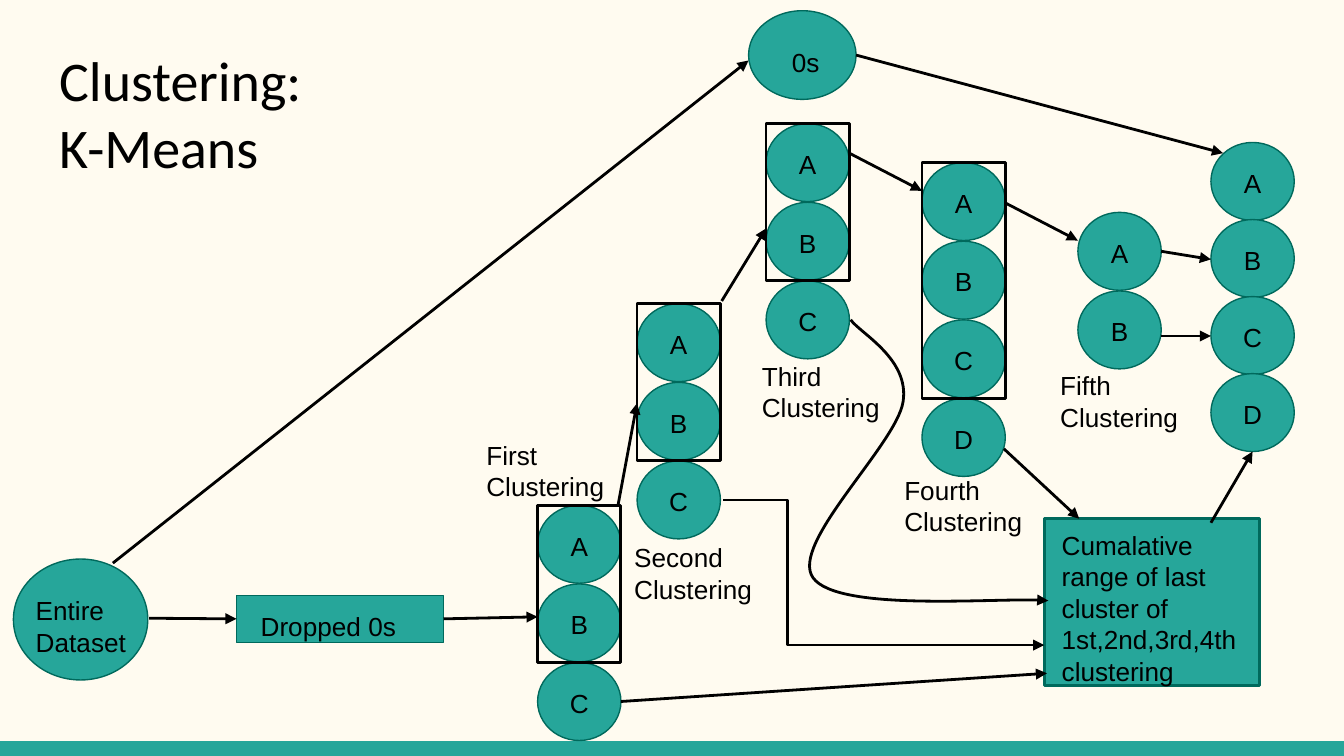
import pptx
import pptx.util
import pptx.dml.color
import pptx.enum.shapes
import pptx.enum.text
import pptx.oxml
import pptx.oxml.ns

Inches = pptx.util.Inches
Pt = pptx.util.Pt
qn = pptx.oxml.ns.qn
SHAPES = pptx.enum.shapes.MSO_SHAPE
CONNECTORS = pptx.enum.shapes.MSO_CONNECTOR
ANCHOR = pptx.enum.text.MSO_ANCHOR
ALIGN = pptx.enum.text.PP_ALIGN

THEME = {
    "paper": "FFFBF0", "teal": "26A69A", "edge": "00695C", "ink": "000000",
    "title_font": "Calibri", "title_size": 30, "body_font": "Arial", "body_size": 14,
    "thin": 0.75, "thick": 1.5,
}

SLIDE_WIDTH = 10
SLIDE_HEIGHT = SLIDE_WIDTH * 9 / 16
BAR_HEIGHT = 0.11

TITLE = "Clustering: K-Means"
CIRCLE_WIDTH, CIRCLE_HEIGHT = 0.62, 0.58
PAIR_HEIGHT = 1.17
PITCH = PAIR_HEIGHT / 2

# left, top, letters, framed circles, pitch
COLUMNS = [
    (4.00, 3.76, "ABC", 2, PITCH),
    (4.74, 2.26, "ABC", 2, PITCH),
    (5.70, 0.92, "ABC", 2, PITCH),
    (6.86, 1.21, "ABCD", 3, PITCH),
    (8.02, 1.58, "AB", 0, PITCH),
    (9.01, 1.06, "ABCD", 0, 1.72 / 3),
]
CAPTIONS = [
    ("First Clustering", 3.52, 3.17),
    ("Second Clustering", 4.62, 3.93),
    ("Third Clustering", 5.57, 2.58),
    ("Fourth Clustering", 6.63, 3.43),
    ("Fifth Clustering", 7.79, 2.65),
]
ARROWS = [
    ((4.60, 3.75), (4.74, 3.00)),
    ((5.37, 2.24), (5.70, 1.70)),
    ((6.32, 1.14), (6.86, 1.42)),
    ((7.48, 1.51), (8.02, 1.79)),
    ((8.64, 1.87), (9.01, 1.93)),
    ((8.64, 2.50), (9.01, 2.50)),
    ((0.84, 4.19), (5.57, 0.45)),
    ((6.37, 0.41), (9.10, 1.14)),
    ((9.01, 3.89), (9.32, 3.36)),
    ((7.47, 3.34), (8.03, 3.86)),
    ((4.62, 5.22), (7.79, 5.01)),
]
THIRD_TO_RANGE = [
    (6.33, 2.38),
    (6.40, 2.48), (6.77, 2.67), (6.72, 2.99),
    (6.67, 3.31), (5.87, 4.05), (6.05, 4.30),
    (6.23, 4.55), (7.51, 4.44), (7.80, 4.47),
]


def color(name):
    return pptx.dml.color.RGBColor.from_string(THEME[name])


def write(shape, words, align=ALIGN.LEFT, anchor=ANCHOR.TOP, insets=(0.1, 0.1, 0.1, 0.1),
          wrap=True, role="body"):
    frame = shape.text_frame
    frame.text = words
    frame.word_wrap = wrap
    frame.vertical_anchor = anchor
    frame.auto_size = pptx.enum.text.MSO_AUTO_SIZE.NONE
    frame.margin_left, frame.margin_top, frame.margin_right, frame.margin_bottom = map(Inches, insets)
    paragraph = frame.paragraphs[0]
    paragraph.alignment = align
    font = paragraph.runs[0].font
    font.name, font.size = THEME[role + "_font"], Pt(THEME[role + "_size"])
    font.color.rgb = color("ink")


def add_block(slide, kind, box, fill="teal", line="edge", width="thin"):
    block = slide.shapes.add_shape(kind, *map(Inches, box))
    block.shadow.inherit = False
    if fill:
        block.fill.solid()
        block.fill.fore_color.rgb = color(fill)
    else:
        block.fill.background()
    if line:
        block.line.color.rgb = color(line)
        block.line.width = Pt(THEME[width])
    else:
        block.line.fill.background()
    return block


def style_arrow(arrow):
    arrow.line.color.rgb = color("ink")
    arrow.line.width = Pt(THEME["thick"])
    properties = arrow._element.spPr
    head = pptx.oxml.parse_xml(f'<a:tailEnd {pptx.oxml.ns.nsdecls("a")} type="triangle"/>')
    properties.find(qn("a:ln")).append(head)
    if properties.find(qn("a:effectLst")) is None:
        properties.append(properties.makeelement(qn("a:effectLst"), {}))


def add_arrow(slide, start, end, kind=CONNECTORS.STRAIGHT):
    arrow = slide.shapes.add_connector(kind, *map(Inches, start + end))
    style_arrow(arrow)
    return arrow


def add_curve(slide, points):
    start, *controls = [(Inches(x), Inches(y)) for x, y in points]
    builder = slide.shapes.build_freeform(*start)
    builder.add_line_segments(controls, close=False)
    curve = builder.convert_to_shape()
    curve.fill.background()
    curve.shadow.inherit = False
    segments = list(curve._element.iter(qn("a:lnTo")))
    for first in range(0, len(segments), 3):
        bezier = segments[first].makeelement(qn("a:cubicBezTo"), {})
        segments[first].addprevious(bezier)
        for segment in segments[first:first + 3]:
            bezier.append(segment[0])
            segment.getparent().remove(segment)
    style_arrow(curve)


def add_column(slide, left, top, letters, framed, pitch):
    for row, letter in enumerate(letters):
        circle = add_block(slide, SHAPES.OVAL, (left, top + row * pitch, CIRCLE_WIDTH, CIRCLE_HEIGHT))
        write(circle, letter, ALIGN.CENTER, ANCHOR.MIDDLE, (0, 0.02, 0, 0), False)
    if framed:
        add_block(slide, SHAPES.RECTANGLE, (left, top, CIRCLE_WIDTH, framed * pitch), None, "ink", "thick")


def main():
    deck = pptx.Presentation()
    deck.slide_width, deck.slide_height = Inches(SLIDE_WIDTH), Inches(SLIDE_HEIGHT)
    slide = deck.slides.add_slide(deck.slide_layouts[5])
    slide.background.fill.solid()
    slide.background.fill.fore_color.rgb = color("paper")
    add_block(slide, SHAPES.RECTANGLE, (0, SLIDE_HEIGHT - BAR_HEIGHT, SLIDE_WIDTH, BAR_HEIGHT), line=None)

    title = slide.shapes.title
    title.left, title.top, title.width, title.height = map(Inches, (0.34, 0.24, 2.22, 0.66))
    write(title, TITLE, role="title")

    dataset = add_block(slide, SHAPES.OVAL, (0.1, 4.16, 1, 0.9))
    write(dataset, "Entire Dataset", anchor=ANCHOR.MIDDLE, insets=(0.02, 0.1, 0, 0))
    dropped = add_block(slide, SHAPES.RECTANGLE, (1.76, 4.43, 1.54, 0.35))
    write(dropped, "Dropped 0s", anchor=ANCHOR.MIDDLE, insets=(0.18, 0.1, 0, 0))
    zeros = add_block(slide, SHAPES.OVAL, (5.57, 0.08, 0.8, 0.66))
    write(zeros, "0s", ALIGN.CENTER, ANCHOR.MIDDLE, (0.05, 0.1, 0, 0), False)
    last_range = add_block(slide, SHAPES.RECTANGLE, (7.77, 3.86, 1.6, 1.24), width="thick")
    write(last_range, "Cumalative range of last cluster of 1st,2nd,3rd,4th clustering",
          insets=(0.13, 0.08, 0.13, 0))

    for column in COLUMNS:
        add_column(slide, *column)
    for words, left, top in CAPTIONS:
        caption = slide.shapes.add_textbox(*map(Inches, (left, top, 1.22, 0.43)))
        write(caption, words)

    add_arrow(slide, (1.11, 4.6), (1.76, 4.6)).end_connect(dropped, 1)
    add_arrow(slide, (3.3, 4.6), (4, 4.59)).begin_connect(dropped, 3)
    for start, end in ARROWS:
        add_arrow(slide, start, end)
    add_curve(slide, THIRD_TO_RANGE)
    second_to_range = add_arrow(slide, (5.38, 3.72), (7.77, 4.8), CONNECTORS.ELBOW)
    bend = next(second_to_range._element.iter(qn("a:avLst")))
    bend.append(bend.makeelement(qn("a:gd"), {"name": "adj1", "fmla": "val 20000"}))

    deck.save("out.pptx")


if __name__ == "__main__":
    main()
